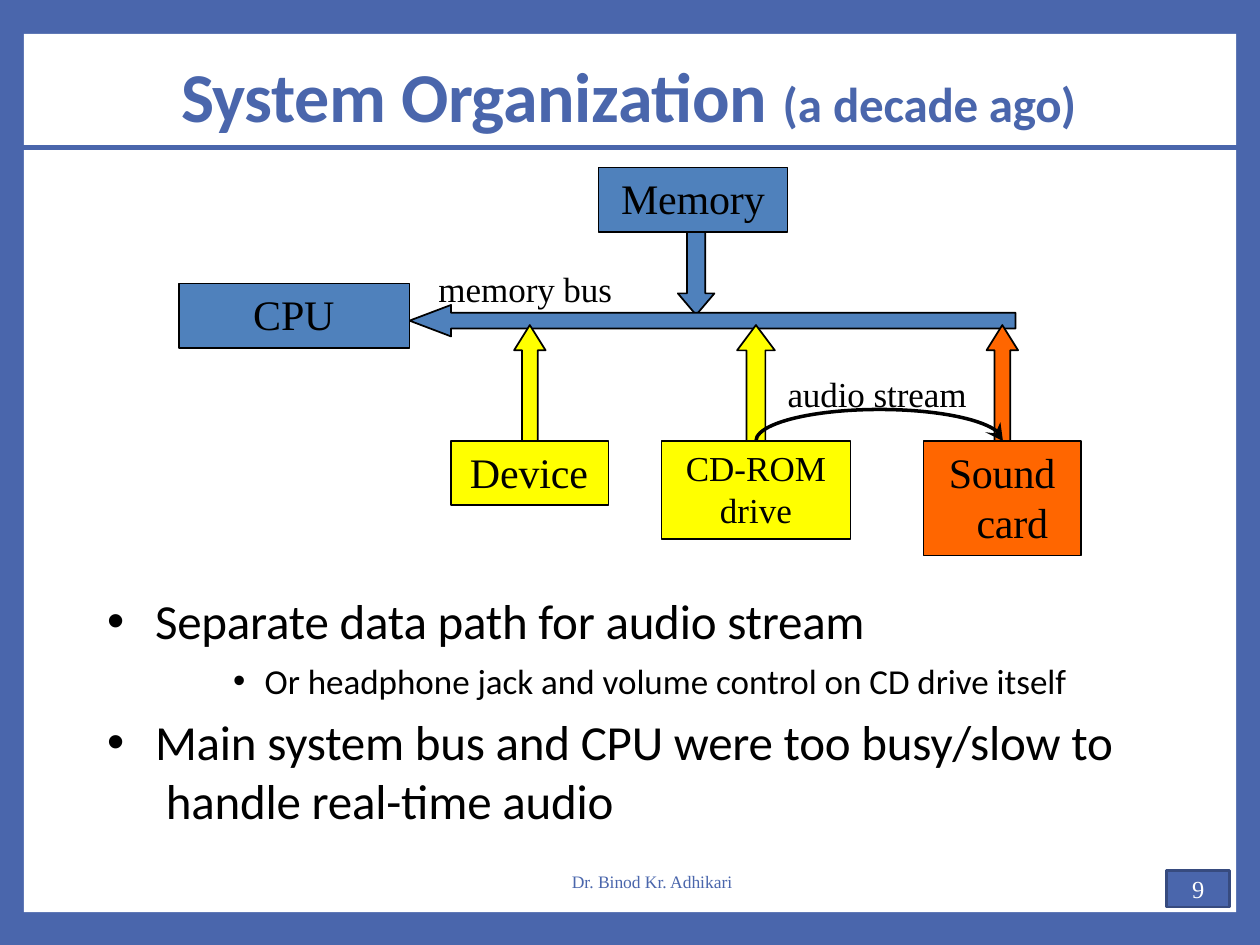
from lxml.etree import SubElement
from pptx import Presentation
from pptx.dml.color import RGBColor
from pptx.enum.shapes import MSO_CONNECTOR, MSO_SHAPE
from pptx.enum.text import MSO_ANCHOR, PP_ALIGN
from pptx.oxml.ns import qn
from pptx.util import Inches, Pt

BLUE, STEEL, YELLOW, ORANGE = "4A66AC", "4F81BC", "FFFF00", "FF6600"
BLACK, WHITE = "000000", "FFFFFF"
SERIF, SANS = "Times New Roman", "Calibri"


def rgb(color):
    return RGBColor.from_string(color)


def add_text(sp, runs, color=BLACK, font=SERIF, bold=False, align=PP_ALIGN.LEFT,
             before=0, margin=0, indent=0, bullet=False, insets=None,
             anchor=MSO_ANCHOR.TOP, new=False):
    """Fill a paragraph with (text, size, spacing) runs; None breaks the line."""
    tf = sp.text_frame
    tf.word_wrap = True
    tf.vertical_anchor = anchor
    if insets is not None:
        tf.margin_left = tf.margin_right = tf.margin_bottom = 0
        tf.margin_top = Inches(insets)
    p = tf.add_paragraph() if new else tf.paragraphs[0]
    p.alignment = align
    p.space_before = Pt(before)
    pPr = p._p.get_or_add_pPr()
    pPr.set("marL", str(Inches(margin)))
    pPr.set("indent", str(Inches(indent)))
    if bullet:
        SubElement(pPr, qn("a:buFont")).set("typeface", "Arial")
        SubElement(pPr, qn("a:buChar")).set("char", "•")
    for run in runs:
        if run is None:
            p.add_line_break()
            continue
        text, size, spacing = run
        r = p.add_run()
        r.text = text
        r.font.size = Pt(size)
        r.font.name = font
        r.font.bold = bold
        r.font.color.rgb = rgb(color)
        r._r.get_or_add_rPr().set("spc", str(round(spacing * 100)))


prs = Presentation()
prs.slide_width, prs.slide_height = Inches(10), Inches(7.5)
s = prs.slides.add_slide(prs.slide_layouts[6])
s.background.fill.solid()
s.background.fill.fore_color.rgb = rgb(BLUE)

# White page, slide number, diagram boxes and bus arrows
RECT, UP = MSO_SHAPE.RECTANGLE, MSO_SHAPE.UP_ARROW
shapes = {}
for name, kind, box, fill, line, width, head in [
    ("page", RECT, (0.19, 0.27, 9.62, 6.97), WHITE, None, 0, None),
    ("number", RECT, (9.26, 6.91, 0.5, 0.29), BLUE, "374B7F", 1.5, None),
    ("memory arrow", MSO_SHAPE.DOWN_ARROW, (5.38, 1.83, 0.29, 0.67), STEEL, BLACK, 1, 0.59),
    ("bus", MSO_SHAPE.LEFT_ARROW, (3.25, 2.42, 4.81, 0.25), STEEL, BLACK, 1, 1.32),
    ("device arrow", UP, (4.08, 2.58, 0.25, 0.92), YELLOW, BLACK, 1, 0.8),
    ("drive arrow", UP, (5.85, 2.58, 0.3, 0.92), YELLOW, BLACK, 1, 0.67),
    ("card arrow", UP, (7.83, 2.58, 0.25, 0.92), ORANGE, BLACK, 1, 0.8),
    ("memory", RECT, (4.75, 1.33, 1.5, 0.51), STEEL, BLACK, 1, None),
    ("cpu", RECT, (1.42, 2.25, 1.83, 0.51), STEEL, BLACK, 1, None),
    ("device", RECT, (3.58, 3.5, 1.25, 0.51), YELLOW, BLACK, 1, None),
    ("drive", RECT, (5.25, 3.5, 1.5, 0.78), YELLOW, BLACK, 1, None),
    ("card", RECT, (7.33, 3.5, 1.25, 0.91), ORANGE, BLACK, 1, None),
]:
    sp = s.shapes.add_shape(kind, *map(Inches, box))
    sp.shadow.inherit = False
    sp.fill.solid()
    sp.fill.fore_color.rgb = rgb(fill)
    if line:
        sp.line.color.rgb = rgb(line)
        sp.line.width = Pt(width)
    else:
        sp.line.fill.background()
    if head:
        sp.adjustments[1] = head
    shapes[name] = sp

# Rule under the title
rule = s.shapes.add_connector(MSO_CONNECTOR.STRAIGHT, Inches(0.08), Inches(1.17),
                              Inches(9.92), Inches(1.17))
rule.line.color.rgb = rgb(BLUE)
rule.line.width = Pt(3)
SubElement(rule._element.spPr, qn("a:effectLst"))

# Box labels
for name, label, margin, indent in [("memory", "Memory", 0.18, 0), ("cpu", "CPU", 0.59, 0),
                                    ("device", "Device", 0.15, 0),
                                    ("card", "Sound card", 0.42, -0.22)]:
    add_text(shapes[name], [(label, 24, -0.1)], before=2.8, margin=margin,
             indent=indent, insets=0.04)
for i, label in enumerate(["CD-ROM", "drive"]):
    add_text(shapes["drive"], [(label, 20, 0)], align=PP_ALIGN.CENTER,
             before=0.1 if i else 3, insets=0.04, new=i > 0)
add_text(shapes["number"], [("9", 14, 0)], WHITE, align=PP_ALIGN.CENTER,
         anchor=MSO_ANCHOR.MIDDLE)

# Text boxes
for name, box in [("title", (1.05, 0.4, 7.87, 0.69)), ("bullets", (0.84, 4.57, 8.09, 2.02)),
                  ("audio label", (6.23, 2.95, 1.45, 0.36)),
                  ("bus label", (3.46, 2.11, 1.41, 0.36)),
                  ("footer", (3.24, 6.8, 3.87, 0.4))]:
    shapes[name] = s.shapes.add_textbox(*map(Inches, box))

add_text(shapes["title"],
         [("System ", 40, -0.3), ("Organization ", 40, -0.2),
          ("(a ", 28, 0), ("decade ago)", 28, -0.1)],
         BLUE, SANS, bold=True, align=PP_ALIGN.CENTER, before=1.1, margin=0.01,
         insets=0.01, anchor=MSO_ANCHOR.MIDDLE)
for name, label in [("audio label", "audio stream"), ("bus label", "memory bus")]:
    add_text(shapes[name], [(label, 20, -0.05)], before=1.1, margin=0.02, insets=0.01)
add_text(shapes["footer"], [("Dr. Binod Kr. Adhikari", 10, 0)], BLUE,
         align=PP_ALIGN.CENTER, anchor=MSO_ANCHOR.MIDDLE)

# Bullets
for i, (runs, before, margin, indent) in enumerate([
    ([("Separate data path for audio stream", 28, -0.12)], 8.4, 0.39, -0.38),
    ([("Or headphone jack and volume control on CD drive itself", 20, -0.04)],
     5.3, 1.26, -0.25),
    ([("Main system bus and CPU were too busy/slow to", 28, -0.1), None,
      (" handle real-time audio", 28, -0.1)], 6.2, 0.39, -0.38),
]):
    add_text(shapes["bullets"], runs, font=SANS, before=before, margin=margin,
             indent=indent, bullet=True, insets=0.12, new=i > 0)

# Audio stream: upper half of an ellipse from drive to card, with its arrowhead
arc = s.shapes.add_shape(MSO_SHAPE.ARC, Inches(6), Inches(3.25), Inches(1.96), Inches(0.5))
arc.adjustments[0], arc.adjustments[1] = 108, 213.84
arc.shadow.inherit = False
arc.fill.background()
arc.line.color.rgb = rgb(BLACK)
arc.line.width = Pt(2)

fb = s.shapes.build_freeform(Inches(7.82), Inches(3.43))
fb.add_line_segments([(Inches(x), Inches(y))
                      for x, y in [(7.96, 3.5), (7.94, 3.35), (7.9, 3.44)]])
tip = fb.convert_to_shape()
tip.shadow.inherit = False
tip.fill.solid()
tip.fill.fore_color.rgb = rgb(BLACK)
tip.line.fill.background()

prs.save("out.pptx")
